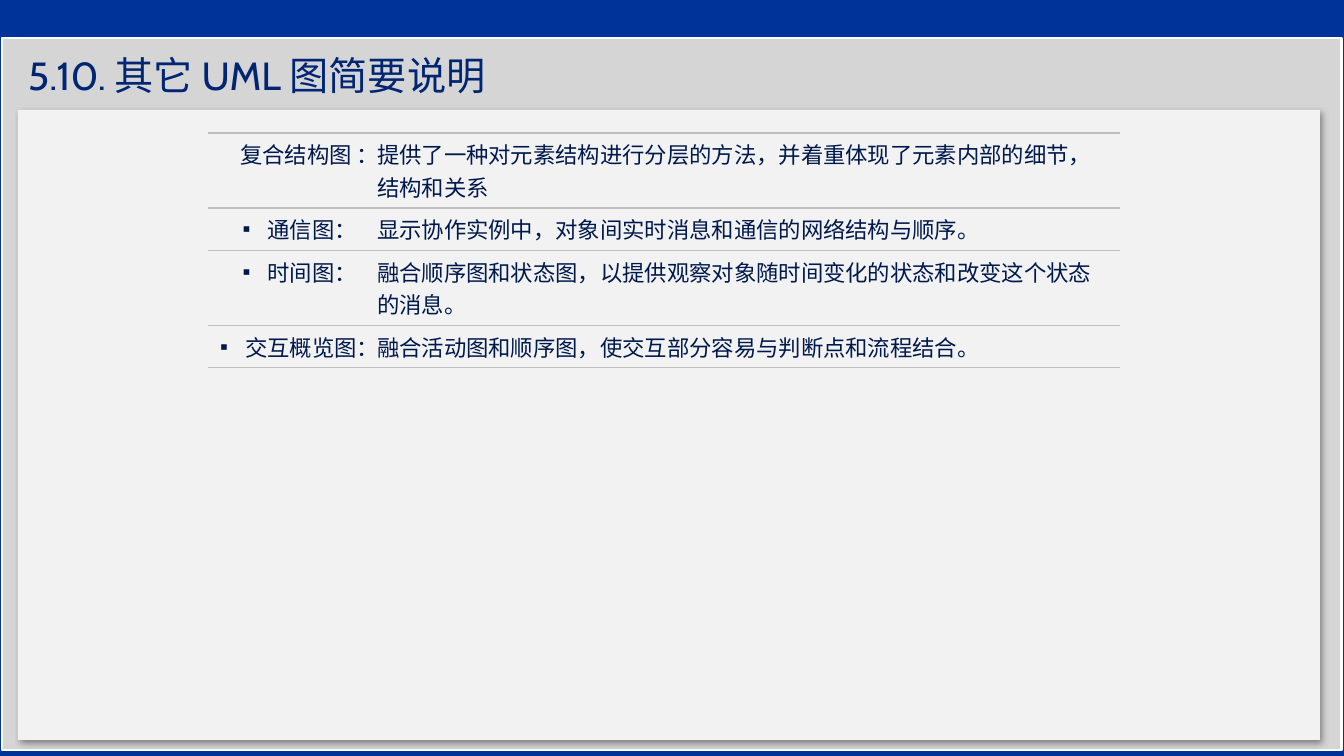
from lxml import etree
from pptx import Presentation
from pptx import util as u
from pptx.dml.color import RGBColor
from pptx.enum import shapes, text
from pptx.oxml import parse_xml
from pptx.oxml.ns import nsdecls, qn

PX = 9072
COLORS = {"page": "003399", "frame": "D5D5D5", "panel": "F2F2F2", "white": "FFFFFF",
          "title": "002673", "body": "00194C", "rule": "BFBFBF", "shadow": "000000"}
DIAGRAMS = [
    ("复合结构图 ：", "提供了一种对元素结构进行分层的方法，并着重体现了元素内部的细节，结构和关系", False, 75),
    ("通信图：", "显示协作实例中，对象间实时消息和通信的网络结构与顺序。", True, 42),
    ("时间图：", "融合顺序图和状态图，以提供观察对象随时间变化的状态和改变这个状态的消息。", True, 75),
    ("交互概览图：", "融合活动图和顺序图，使交互部分容易与判断点和流程结合。", True, 42),
]


def px(n):
    """Turn px into EMU."""
    return u.Emu(n * PX)


def rgb(name):
    """Look up a named colour."""
    return RGBColor.from_string(COLORS[name])


def add_run(p, words, font, size, color):
    """Add one formatted run to a paragraph."""
    r = p.add_run()
    r.text = words
    r.font.name = font
    r.font.size = u.Pt(size)
    r.font.color.rgb = rgb(color)


def add_panel(slide, box, fill, line=None):
    """Draw a plain rectangle in the given box."""
    sp = slide.shapes.add_shape(shapes.MSO_SHAPE.RECTANGLE, *map(px, box))
    sp.shadow.inherit = False
    sp.fill.solid()
    sp.fill.fore_color.rgb = rgb(fill)
    if line:
        sp.line.color.rgb = rgb(line)
        sp.line.width = u.Pt(2)
    else:
        sp.line.fill.background()
    return sp


def add_shadow(sp):
    """Give a shape a soft shadow to the lower right."""
    effects = sp._element.spPr.find(qn("a:effectLst"))
    effects.append(parse_xml(
        f'<a:outerShdw {nsdecls("a")} blurRad="{u.Pt(4)}" dist="{u.Pt(3)}" dir="2700000" '
        f'algn="tl" rotWithShape="0"><a:srgbClr val="{COLORS["shadow"]}">'
        '<a:alpha val="40000"/></a:srgbClr></a:outerShdw>'))


def add_backdrop(slide, box):
    """Draw the frame and the content panel inside it."""
    x, y, w, h = box
    slide.background.fill.solid()
    slide.background.fill.fore_color.rgb = rgb("page")
    add_panel(slide, box, "frame", "white")
    add_shadow(add_panel(slide, (x + 16, y + 72, w - 38, h - 82), "panel"))


def add_title(slide, box, words):
    """Place the title placeholder in the box, above the backdrop."""
    sp = slide.shapes.title
    slide.shapes._spTree.append(sp._element)
    sp.left, sp.top, sp.width, sp.height = map(px, box)
    tf = sp.text_frame
    tf.word_wrap = True
    tf.auto_size = text.MSO_AUTO_SIZE.NONE
    tf.vertical_anchor = text.MSO_ANCHOR.MIDDLE
    p = tf.paragraphs[0]
    p.alignment = text.PP_ALIGN.LEFT
    add_run(p, words, "Cabin", 28, "title")


def add_bullet(p):
    """Give a paragraph a small square bullet."""
    pPr = p._p.get_or_add_pPr()
    pPr.set("marL", str(px(25)))
    pPr.set("indent", str(px(-25)))
    etree.SubElement(pPr, qn("a:buFont")).set("typeface", "Arial")
    etree.SubElement(pPr, qn("a:buChar")).set("char", "▪")


def format_cell(cell):
    """Leave a cell unfilled, with rules above and below only."""
    tcPr = cell._tc.get_or_add_tcPr()
    rule = f'<a:solidFill><a:srgbClr val="{COLORS["rule"]}"/></a:solidFill>'
    for side, fill in zip("LRTB", ["<a:noFill/>"] * 2 + [rule] * 2):
        tcPr.append(parse_xml(
            f'<a:ln{side} {nsdecls("a")} w="{u.Pt(1)}">{fill}</a:ln{side}>'))
    cell.fill.background()


def add_diagram_table(slide, box):
    """List the diagram kinds with their descriptions."""
    x, y, w = box
    height = sum(row[-1] for row in DIAGRAMS)
    table = slide.shapes.add_table(len(DIAGRAMS), 2, *map(px, (x, y, w, height))).table
    table.first_row = table.horz_banding = False
    table.columns[0].width, table.columns[1].width = px(159), px(w - 159)
    for i, (label, description, bulleted, row_height) in enumerate(DIAGRAMS):
        table.rows[i].height = px(row_height)
        for j, words in enumerate((label, description)):
            cell = table.cell(i, j)
            format_cell(cell)
            p = cell.text_frame.paragraphs[0]
            if j == 0:
                p.alignment = text.PP_ALIGN.RIGHT
                if bulleted:
                    add_bullet(p)
            add_run(p, words, "Arial", 16, "body")


def main():
    """Build and save the slide."""
    prs = Presentation()
    prs.slide_width, prs.slide_height = px(1344), px(756)
    slide = prs.slides.add_slide(prs.slide_layouts[5])
    add_backdrop(slide, (2, 38, 1340, 712))
    add_title(slide, (18, 48, 1302, 53), "5.10. 其它 UML 图简要说明")
    add_diagram_table(slide, (208, 133, 912))
    prs.save("out.pptx")


if __name__ == "__main__":
    main()
